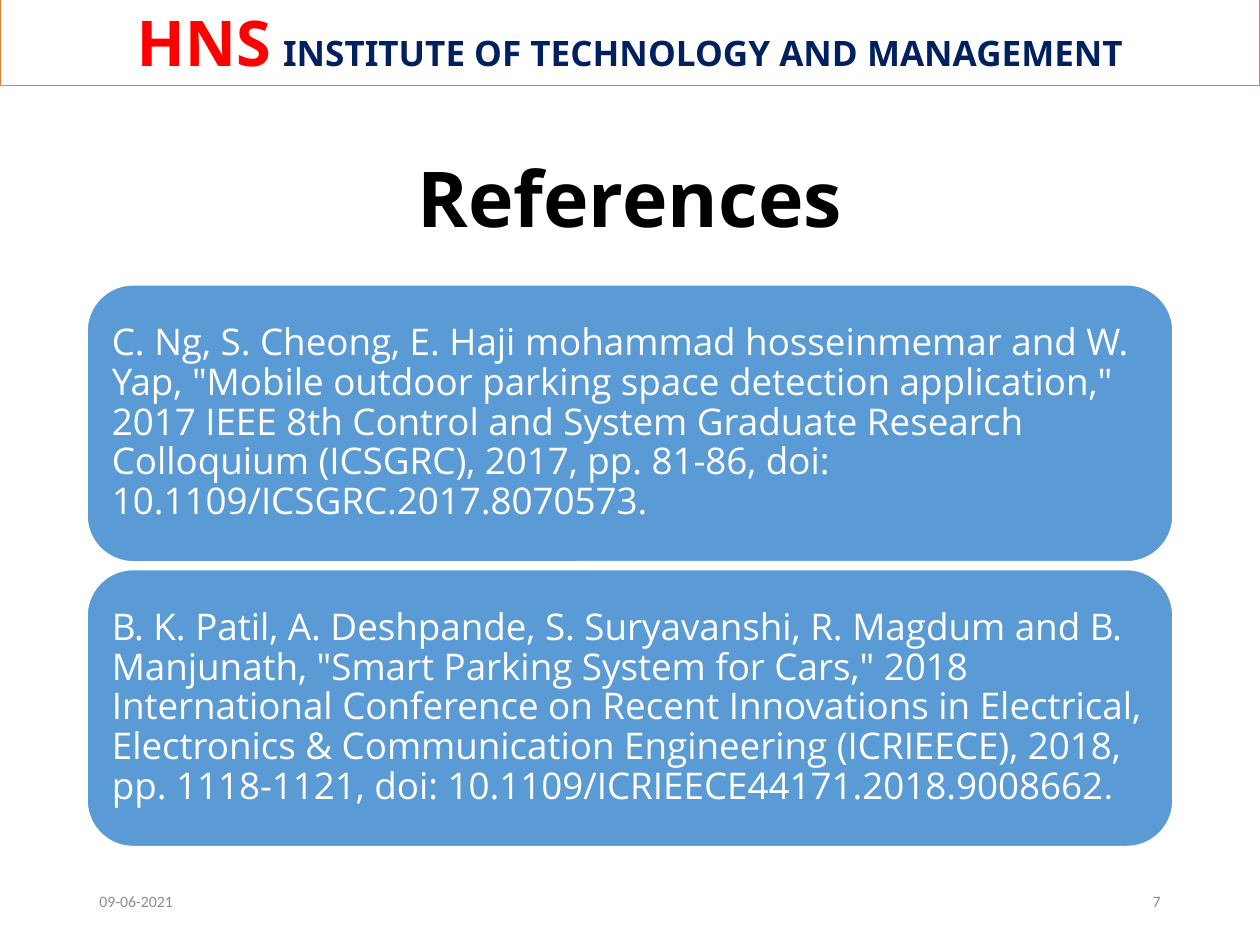
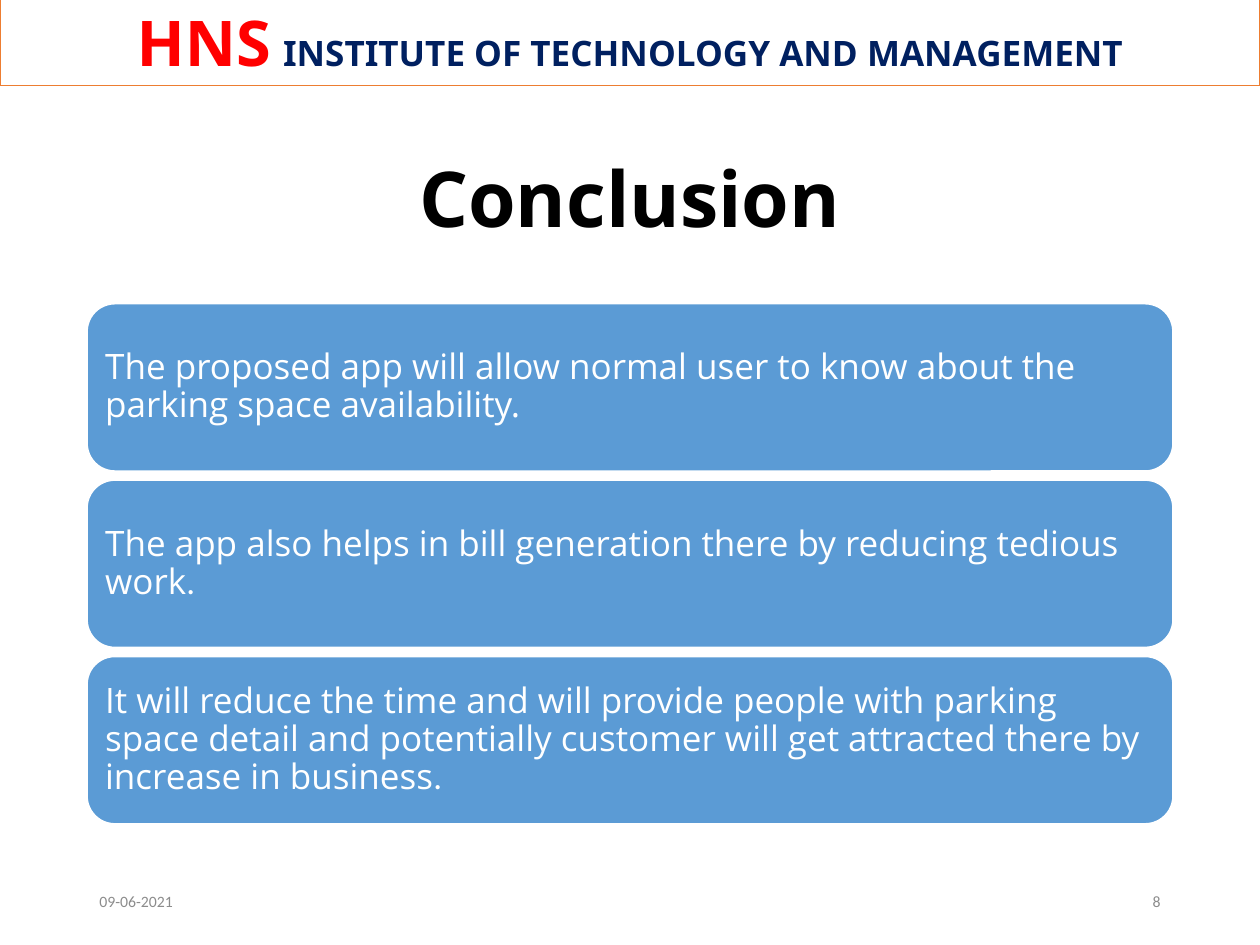
from pptx import Presentation
from pptx.dml.color import RGBColor
from pptx.enum.shapes import MSO_SHAPE
from pptx.enum.text import MSO_ANCHOR, MSO_AUTO_SIZE, PP_ALIGN
from pptx.util import Inches, Pt

RECT, ROUNDED = MSO_SHAPE.RECTANGLE, MSO_SHAPE.ROUNDED_RECTANGLE
LEFT, CENTER, RIGHT = PP_ALIGN.LEFT, PP_ALIGN.CENTER, PP_ALIGN.RIGHT
MIDDLE = MSO_ANCHOR.MIDDLE
NO_FIT = MSO_AUTO_SIZE.NONE

COLORS = {
    "white": "FFFFFF", "black": "000000", "red": "FF0000", "navy": "002060",
    "orange": "ED7D31", "blue": "5B9BD5", "gray": "8C8C8C",
}
BODY, HEADER, FOOTER = "Open Sans", "Noto Sans", "Calibri"
TITLE_ONLY = 5
MARGIN, CONTENT_WIDTH = 0.69, 8.62
DATE = "09-06-2021"

REFERENCES = [
    'C. Ng, S. Cheong, E. Haji mohammad hosseinmemar and W. Yap, "Mobile outdoor '
    'parking space detection application," 2017 IEEE 8th Control and System Graduate '
    'Research Colloquium (ICSGRC), 2017, pp. 81-86, doi: 10.1109/ICSGRC.2017.8070573.',
    'B. K. Patil, A. Deshpande, S. Suryavanshi, R. Magdum and B. Manjunath, "Smart '
    'Parking System for Cars," 2018 International Conference on Recent Innovations in '
    'Electrical, Electronics & Communication Engineering (ICRIEECE), 2018, '
    'pp. 1118-1121, doi: 10.1109/ICRIEECE44171.2018.9008662.',
]
CONCLUSIONS = [
    "The proposed app will allow normal user to know about the parking space availability.",
    "The app also helps in bill generation there by reducing tedious work.",
    "It will reduce the time and will provide people with parking space detail and "
    "potentially customer will get attracted there by increase in business.",
]


def rgb(name):
    return RGBColor.from_string(COLORS[name])


def add_run(p, text, size, color, font=BODY, bold=False):
    r = p.add_run()
    r.text = text
    r.font.size = Pt(size)
    r.font.name = font
    r.font.bold = bold
    r.font.color.rgb = rgb(color)


def write(sp, *runs, align=LEFT, inset=(0.1, 0.05), spacing=1.0):
    tf = sp.text_frame
    tf.word_wrap = True
    tf.auto_size = NO_FIT
    tf.vertical_anchor = MIDDLE
    tf.margin_left = tf.margin_right = Inches(inset[0])
    tf.margin_top = tf.margin_bottom = Inches(inset[1])
    p = tf.paragraphs[0]
    p.alignment = align
    p.line_spacing = spacing
    for run in runs:
        add_run(p, **run)


def add_box(s, kind, left, top, width, height, fill, line):
    sp = s.shapes.add_shape(kind, Inches(left), Inches(top), Inches(width), Inches(height))
    sp.shadow.inherit = False
    sp.fill.solid()
    sp.fill.fore_color.rgb = rgb(fill)
    sp.line.color.rgb = rgb(line)
    sp.line.width = Pt(1)
    return sp


def add_header(s):
    sp = add_box(s, RECT, 0, -0.03, 10, 0.71, "white", "orange")
    style = {"font": HEADER, "bold": True}
    write(
        sp,
        {"text": "HNS", "size": 36, "color": "red", **style},
        {"text": " ", "size": 27, "color": "red", **style},
        {"text": "INSTITUTE OF TECHNOLOGY AND MANAGEMENT", "size": 20, "color": "navy", **style},
        align=CENTER, inset=(0, 0),
    )


def add_footer(s, number):
    width = 2.25
    right = MARGIN + CONTENT_WIDTH - width
    for left, text, align in ((MARGIN, DATE, LEFT), (right, str(number), RIGHT)):
        sp = s.shapes.add_textbox(Inches(left), Inches(6.95), Inches(width), Inches(0.4))
        write(sp, {"text": text, "size": 9, "color": "gray", "font": FOOTER}, align=align)


def set_title(s, text):
    sp = s.shapes.title
    sp.left, sp.top, sp.width, sp.height = map(Inches, (2.5, 1.14, 5, 0.84))
    write(sp, {"text": text, "size": 44, "color": "black", "bold": True}, align=CENTER)


def add_cards(s, texts, top, height, pitch, size, inset):
    for i, text in enumerate(texts):
        sp = add_box(s, ROUNDED, MARGIN, top + i * pitch, CONTENT_WIDTH, height, "blue", "white")
        runs = [{"text": text, "size": size, "color": "white"}]
        if i:
            runs = [
                {"text": text[:-1], "size": size, "color": "white"},
                {"text": text[-1], "size": size, "color": "white", "font": FOOTER},
            ]
        write(sp, *runs, inset=(inset, inset), spacing=0.9)


def add_slide(prs, title, number):
    s = prs.slides.add_slide(prs.slide_layouts[TITLE_ONLY])
    add_header(s)
    add_footer(s, number)
    set_title(s, title)
    return s


def main():
    prs = Presentation()
    prs.slide_width, prs.slide_height = Inches(10), Inches(7.5)
    s = add_slide(prs, "References", 7)
    add_cards(s, REFERENCES, top=2.26, height=2.2, pitch=2.26, size=21, inset=0.09)
    s = add_slide(prs, "Conclusion", 8)
    add_cards(s, CONCLUSIONS, top=2.41, height=1.33, pitch=1.4, size=20, inset=0.08)
    prs.save("out.pptx")


if __name__ == "__main__":
    main()
